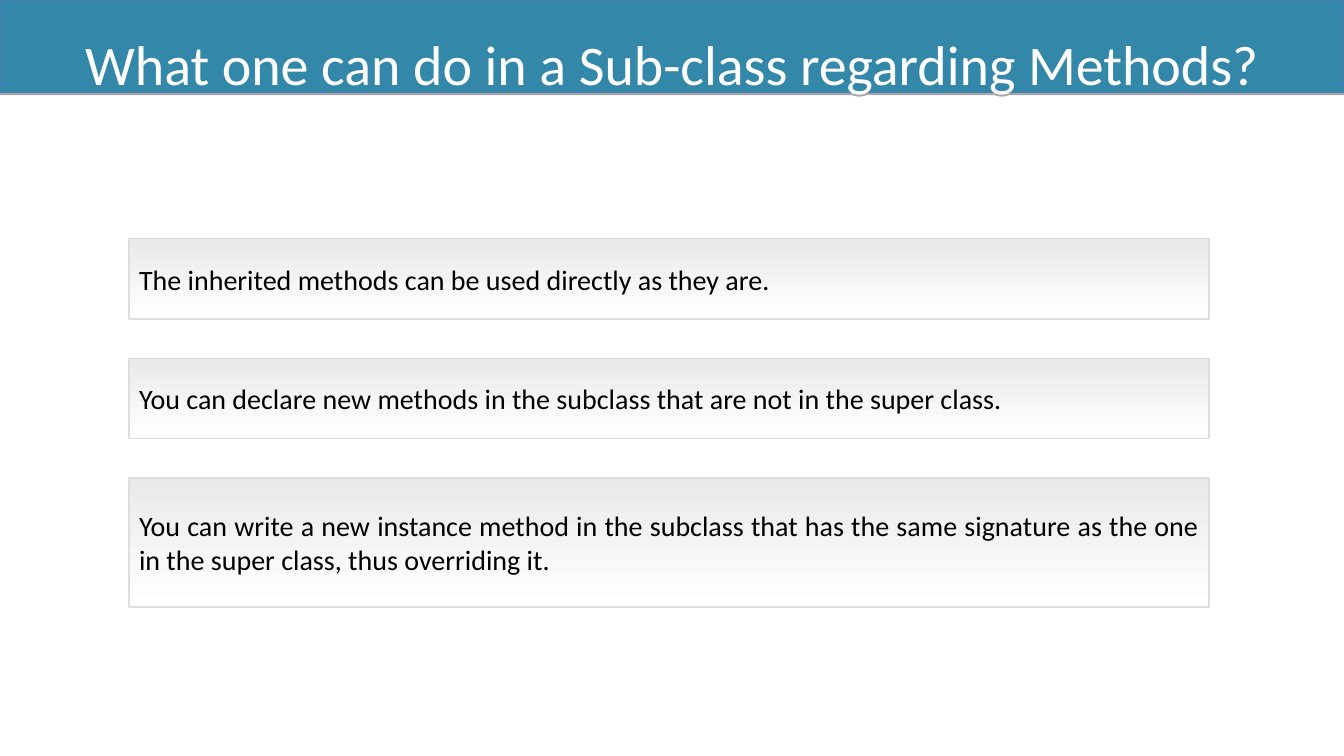
from lxml.etree import SubElement
from pptx import Presentation
from pptx.dml.color import RGBColor
from pptx.enum.shapes import MSO_SHAPE
from pptx.enum.text import MSO_ANCHOR, MSO_AUTO_SIZE, PP_ALIGN
from pptx.oxml.ns import qn
from pptx.util import Pt

TEAL = RGBColor(0x33, 0x88, 0xA9)
BLUE = RGBColor(0x4A, 0x7E, 0xBB)
GREY = RGBColor(0xDD, 0xDD, 0xDD)
PALE = RGBColor(0xEA, 0xEA, 0xEA)
WHITE = RGBColor(0xFF, 0xFF, 0xFF)
BLACK = RGBColor(0, 0, 0)

WIDTH, HEIGHT = 960, 540
TITLE = "What one can do in a Sub-class regarding Methods?"
RULES = [
    ("The inherited methods can be used directly as they are.", 57.2),
    ("You can declare new methods in the subclass that are not in the super class.", 57.2),
    ("You can write a new instance method in the subclass that has the same "
     "signature as the one in the super class, thus overriding it.", 92.2),
]


def write(sp, text, size, color, align, inset):
    """Put one vertically centred paragraph into a shape and return it."""
    tf = sp.text_frame
    tf.word_wrap = True
    tf.auto_size = MSO_AUTO_SIZE.NONE
    tf.vertical_anchor = MSO_ANCHOR.MIDDLE
    tf.margin_left = tf.margin_right = Pt(7.2)
    tf.margin_top = tf.margin_bottom = Pt(inset)
    p = tf.paragraphs[0]
    p.alignment = align
    r = p.add_run()
    r.text = text
    r.font.name = "Calibri"
    r.font.size = Pt(size)
    r.font.color.rgb = color
    return p


def add_shadow(sp):
    """Give a shape a hard shadow just below it."""
    effects = SubElement(sp.element.spPr, qn("a:effectLst"))
    shadow = SubElement(effects, qn("a:outerShdw"), blurRad="0",
                        dist=str(Pt(1.8)), dir="5400000", rotWithShape="0")
    color = SubElement(shadow, qn("a:srgbClr"), val=str(BLACK))
    SubElement(color, qn("a:alpha"), val="35000")


def title_bar(s, left, top, width, height):
    """Turn the title placeholder into a coloured bar."""
    sp = s.shapes.title
    sp.left, sp.top, sp.width, sp.height = Pt(left), Pt(top), Pt(width), Pt(height)
    sp.fill.solid()
    sp.fill.fore_color.rgb = TEAL
    sp.line.color.rgb = BLUE
    sp.line.width = Pt(0.75)
    add_shadow(sp)
    p = write(sp, TITLE, 40, WHITE, PP_ALIGN.CENTER, 0)
    p.line_spacing = 1.5


def rule_box(s, text, left, top, width, height):
    """Draw one shaded box holding a rule."""
    sp = s.shapes.add_shape(MSO_SHAPE.RECTANGLE, Pt(left), Pt(top), Pt(width), Pt(height))
    sp.shadow.inherit = False
    sp.fill.gradient()
    sp.fill.gradient_angle = 270
    for stop, position, color in zip(sp.fill.gradient_stops, (0, 1), (PALE, WHITE)):
        stop.position = position
        stop.color.rgb = color
    sp.line.color.rgb = GREY
    sp.line.width = Pt(1)
    write(sp, text, 20, BLACK, PP_ALIGN.JUSTIFY, 7.2)


def rule_stack(s, left, top, width, gap):
    """Stack the rule boxes downwards with equal gaps."""
    for text, height in RULES:
        rule_box(s, text, left, top, width, height)
        top += height + gap


def main():
    """Build and save the slide."""
    prs = Presentation()
    prs.slide_width, prs.slide_height = Pt(WIDTH), Pt(HEIGHT)
    s = prs.slides.add_slide(prs.slide_layouts[5])
    title_bar(s, 0, 0, WIDTH, 65.8)
    rule_stack(s, 92.2, 170.6, 771.4, 28.2)
    prs.save("out.pptx")


if __name__ == "__main__":
    main()
